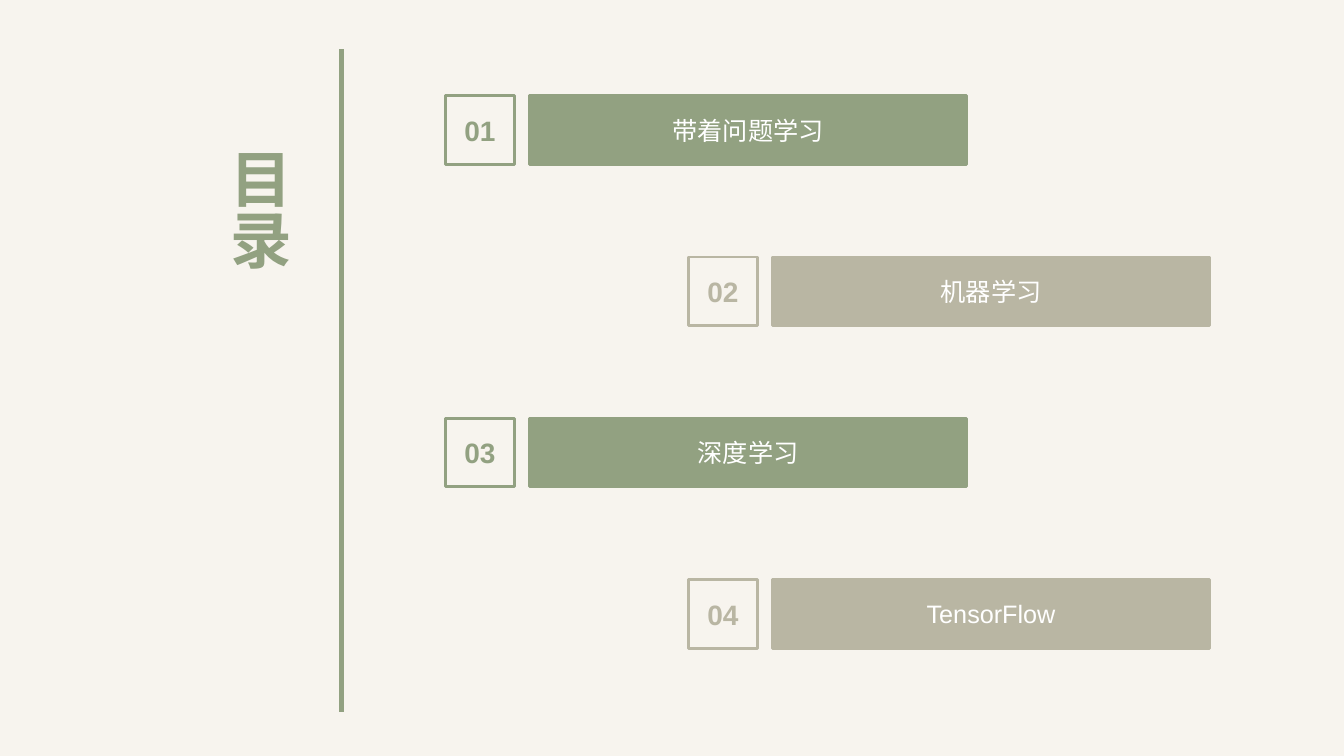
from pptx import Presentation
from pptx.dml.color import RGBColor
from pptx.enum.shapes import MSO_CONNECTOR, MSO_SHAPE
from pptx.enum.text import MSO_ANCHOR, PP_ALIGN
from pptx.oxml.ns import qn
from pptx.util import Inches, Pt
from lxml import etree

STRAIGHT = MSO_CONNECTOR.STRAIGHT
RECTANGLE = MSO_SHAPE.RECTANGLE
MIDDLE = MSO_ANCHOR.MIDDLE
CENTER = PP_ALIGN.CENTER

GREEN, BEIGE, WHITE, CREAM = "92A181", "B9B6A3", "FFFFFF", "F7F4EE"
CHAPTERS = ["带着问题学习", "机器学习", "深度学习", "TensorFlow"]
BOX_SIZE = 0.68


def rgb(color):
    return RGBColor.from_string(color)


def write_text(shape, text, size, color, bold):
    shape.text_frame.text = text
    paragraph = shape.text_frame.paragraphs[0]
    paragraph.alignment = CENTER
    font = paragraph.runs[0].font
    font.name = "Arial"
    font.size = Pt(size)
    font.bold = bold
    font.color.rgb = rgb(color)


presentation = Presentation()
presentation.slide_width = Inches(13.33)
presentation.slide_height = Inches(7.5)
slide = presentation.slides.add_slide(presentation.slide_layouts[6])
slide.background.fill.solid()
slide.background.fill.fore_color.rgb = rgb(CREAM)

# Vertical title
title = slide.shapes.add_textbox(Inches(2.05), Inches(1.37), Inches(0.94), Inches(4.77))
write_text(title, "目录", 44, GREEN, True)
title.text_frame.word_wrap = True
title.text_frame._txBody.bodyPr.set("vert", "eaVert")

# Divider
divider = slide.shapes.add_connector(
    STRAIGHT, Inches(3.39), Inches(0.49), Inches(3.39), Inches(7.06))
divider.line.color.rgb = rgb(GREEN)
divider.line.width = Pt(3.25)
etree.SubElement(divider._element.spPr, qn("a:effectLst"))

# Chapters, alternating between the left and right columns
for index, chapter in enumerate(CHAPTERS):
    color = (GREEN, BEIGE)[index % 2]
    left = (4.42, 6.83)[index % 2]
    top = 0.95 + 1.6 * index

    number_box = slide.shapes.add_shape(
        RECTANGLE, Inches(left), Inches(top), Inches(BOX_SIZE), Inches(BOX_SIZE))
    number_box.fill.background()
    write_text(number_box, f"{index + 1:02}", 20, color, True)
    number_frame = number_box.text_frame
    number_frame.margin_left = number_frame.margin_right = 0
    number_frame.margin_top = number_frame.margin_bottom = 0

    chapter_bar = slide.shapes.add_shape(
        RECTANGLE, Inches(left + 0.83), Inches(top), Inches(4.34), Inches(BOX_SIZE))
    chapter_bar.fill.solid()
    chapter_bar.fill.fore_color.rgb = rgb(color)
    write_text(chapter_bar, chapter, 18, WHITE, False)

    for shape in (number_box, chapter_bar):
        shape.shadow.inherit = False
        shape.line.color.rgb = rgb(color)
        shape.line.width = Pt(2)
        shape.text_frame.vertical_anchor = MIDDLE

presentation.save("out.pptx")
